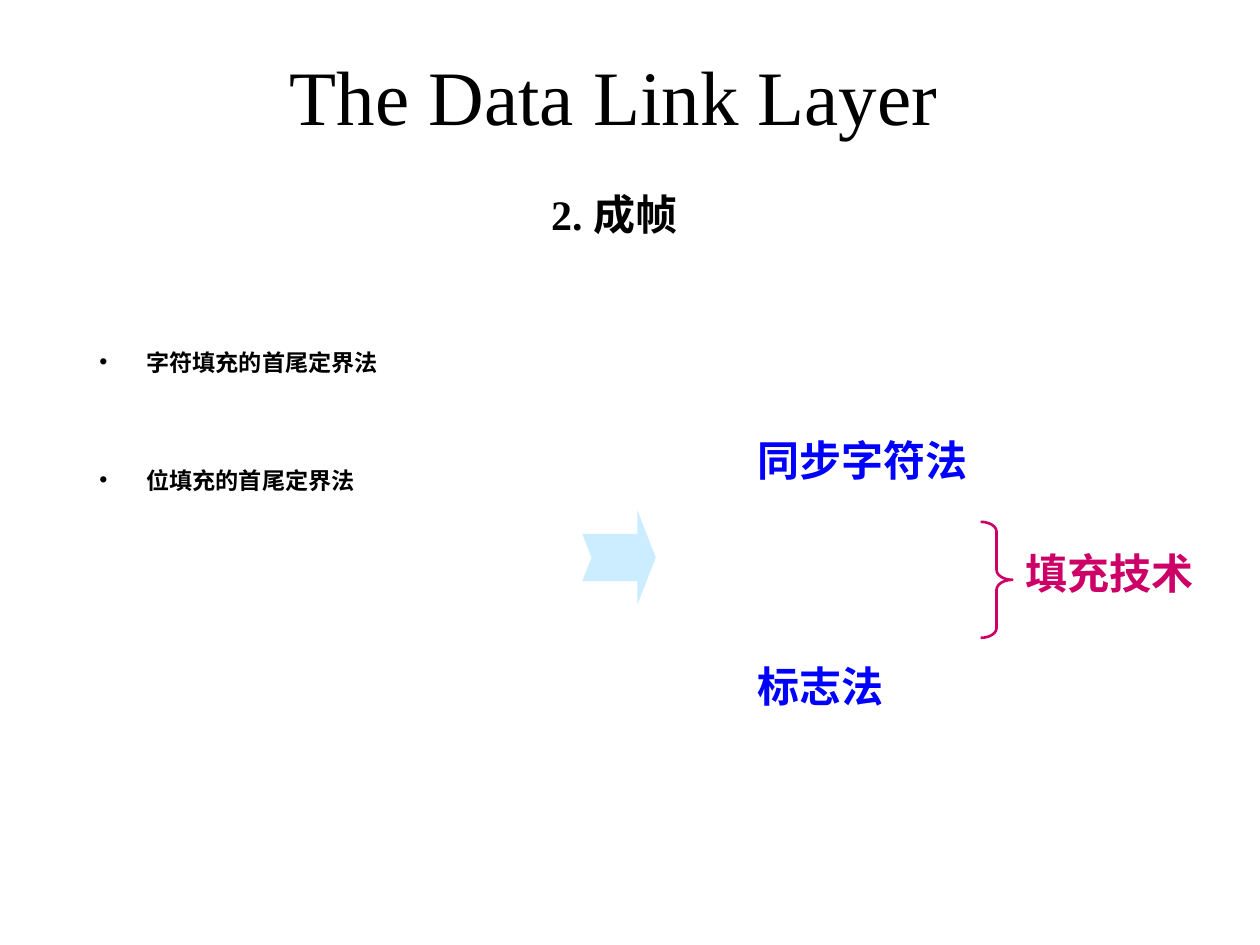
"""Build the data link layer slide on framing methods."""
from lxml.etree import SubElement
from pptx import Presentation
from pptx.dml.color import RGBColor
from pptx.enum.shapes import MSO_SHAPE as Shape
from pptx.enum.text import MSO_ANCHOR as Anchor, MSO_AUTO_SIZE as AutoSize, PP_ALIGN as Align
from pptx.oxml.ns import qn
from pptx.util import Cm, Pt

BLACK = RGBColor(0, 0, 0)
BLUE = RGBColor(0, 0, 255)
CRIMSON = RGBColor(0xCC, 0, 0x66)
PALE_BLUE = RGBColor(0xCC, 0xEC, 0xFF)
SERIF, SANS = "Times New Roman", "Arial"


class FramingSlide:
    def __init__(self, deck):
        self.slide = deck.slides.add_slide(deck.slide_layouts[1])

    def place(self, holder, box, top_inset):
        holder.left, holder.top, holder.width, holder.height = map(Cm, box)
        frame = holder.text_frame
        frame.word_wrap = True
        frame.auto_size = AutoSize.NONE
        frame.vertical_anchor = Anchor.TOP
        frame.margin_top = Cm(top_inset)
        return frame

    def add_text(self, paragraph, text, size, font, color, bold=True):
        run = paragraph.add_run()
        run.text = text
        run.font.size = Pt(size)
        run.font.name = font
        run.font.bold = bold
        run.font.color.rgb = color

    def next_line(self, frame, index, gap):
        paragraph = frame.add_paragraph() if index else frame.paragraphs[0]
        paragraph.space_before = Pt(gap if index else 0)
        return paragraph

    def title(self, heading, section, box):
        frame = self.place(self.slide.shapes.title, box, 0)
        for index, (text, size) in enumerate([(heading, 44), (section, 24)]):
            line = self.next_line(frame, index, 27)
            line.alignment = Align.CENTER
            self.add_text(line, text, size, SERIF, BLACK, bold=bool(index))

    def bullets(self, methods, box, top_inset, gap):
        frame = self.place(self.slide.placeholders[1], box, top_inset)
        for index, method in enumerate(methods):
            line = self.next_line(frame, index, gap)
            line.line_spacing = 0.7
            props = line._p.get_or_add_pPr()
            props.set("marL", str(Cm(0.95)))
            props.set("indent", str(Cm(-0.95)))
            tint = SubElement(props, qn("a:buClr"))
            SubElement(tint, qn("a:srgbClr"), val=str(BLACK))
            SubElement(props, qn("a:buChar"), char="•")
            self.add_text(line, method, 13.2, SERIF, BLACK)

    def label(self, lines, box, color, gap=0):
        frame = self.slide.shapes.add_textbox(*map(Cm, box)).text_frame
        frame.word_wrap = True
        for index, text in enumerate(lines):
            self.add_text(self.next_line(frame, index, gap), text, 24, SANS, color)

    def symbol(self, kind, box, adjustments, fill=None, line=None):
        shape = self.slide.shapes.add_shape(kind, *map(Cm, box))
        shape.shadow.inherit = False
        for index, value in enumerate(adjustments):
            shape.adjustments[index] = value
        if fill is None:
            shape.fill.background()
        else:
            shape.fill.solid()
            shape.fill.fore_color.rgb = fill
        if line is None:
            shape.line.fill.background()
        else:
            shape.line.color.rgb = line
            shape.line.width = Pt(1.5)


def main():
    deck = Presentation()
    deck.slide_width, deck.slide_height = Cm(25.4), Cm(19.05)
    framing = FramingSlide(deck)
    framing.title("The Data Link Layer", "2. 成帧", (1.8, 0.98, 21.16, 3.5))
    framing.bullets(["字符填充的首尾定界法", "位填充的首尾定界法"],
                    (1.75, 3.25, 13.54, 10.24), 3.93, 56.5)
    framing.label(["同步字符法", "标志法"], (15.03, 8.64, 4.88, 5.92), BLUE, 100)
    framing.symbol(Shape.RIGHT_BRACE, (19.77, 10.52, 0.64, 2.34), (0.31, 0.5), line=CRIMSON)
    framing.label(["填充技术"], (20.42, 10.92, 4.24, 1.27), CRIMSON)
    framing.symbol(Shape.NOTCHED_RIGHT_ARROW, (11.74, 10.29, 1.48, 1.9), (0.5, 0.25),
                   fill=PALE_BLUE)
    deck.save("out.pptx")


if __name__ == "__main__":
    main()
